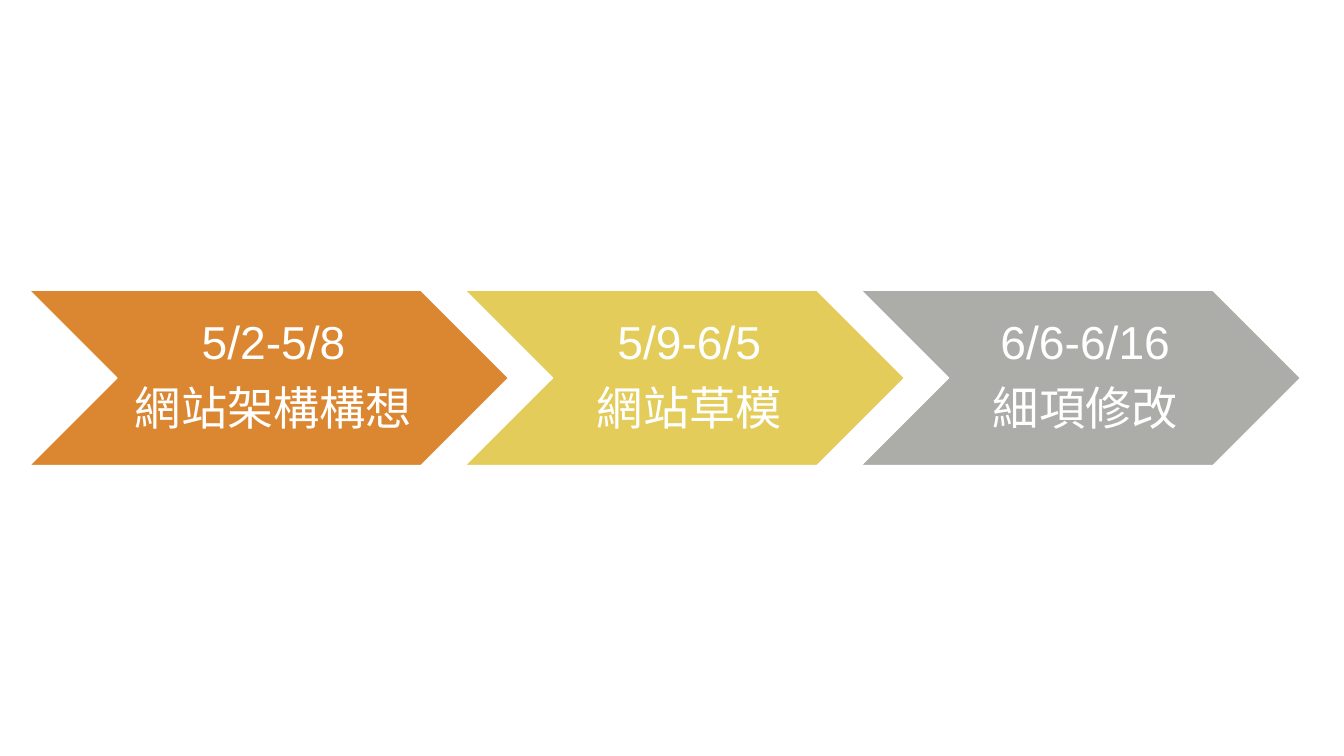
from pptx import Presentation
from pptx.dml.color import RGBColor
from pptx.enum.shapes import MSO_SHAPE
from pptx.enum.text import MSO_ANCHOR, PP_ALIGN
from pptx.util import Inches, Pt

CHEVRON = MSO_SHAPE.CHEVRON
MIDDLE = MSO_ANCHOR.MIDDLE
CENTER = PP_ALIGN.CENTER
BLANK_LAYOUT = 6

FONT = "Arial"
WHITE = "FFFFFF"
OVERLAP = 0.25  # how far a chevron nests into the last, as a share of row height

# Phase: relative width, fill colour, dates, task
PHASES = [
    (1.09, "DB8631", "5/2-5/8", "網站架構構想"),
    (1, "E3CC5A", "5/9-6/5", "網站草模"),
    (1, "ACADA8", "6/6-6/16", "細項修改"),
]


def color(hex_text):
    return RGBColor.from_string(hex_text)


def add_phase(s, left, top, width, height, fill, lines):
    """Draw one chevron with its dates and task."""
    sp = s.shapes.add_shape(CHEVRON, Inches(left), Inches(top),
                            Inches(width), Inches(height))
    sp.shadow.inherit = False
    sp.fill.solid()
    sp.fill.fore_color.rgb = color(fill)
    sp.line.color.rgb = color(WHITE)
    sp.line.width = Pt(1)

    tf = sp.text_frame
    tf.word_wrap = True
    tf.vertical_anchor = MIDDLE
    tf.margin_left = Inches(0.14)
    tf.margin_right = tf.margin_top = tf.margin_bottom = Inches(0.05)
    tf.text = "\n".join(lines)
    for p in tf.paragraphs:
        p.alignment = CENTER
        p.line_spacing = 0.9
        p.space_after = Pt(11.5)
        for r in p.runs:
            r.font.name = FONT
            r.font.size = Pt(33)
            r.font.color.rgb = color(WHITE)


def add_timeline(s, left, top, width, height, phases):
    """Fill the given box with a row of nested chevrons."""
    overlap = OVERLAP * height
    total = width + overlap * (len(phases) - 1)
    unit = total / sum(share for share, *_ in phases)
    for share, fill, *lines in phases:
        add_phase(s, left, top, share * unit, height, fill, lines)
        left += share * unit - overlap


prs = Presentation()
prs.slide_width, prs.slide_height = Inches(13.33), Inches(7.5)
s = prs.slides.add_slide(prs.slide_layouts[BLANK_LAYOUT])

# Project timeline
add_timeline(s, 0.29, 2.88, 12.61, 1.74, PHASES)

prs.save("out.pptx")
